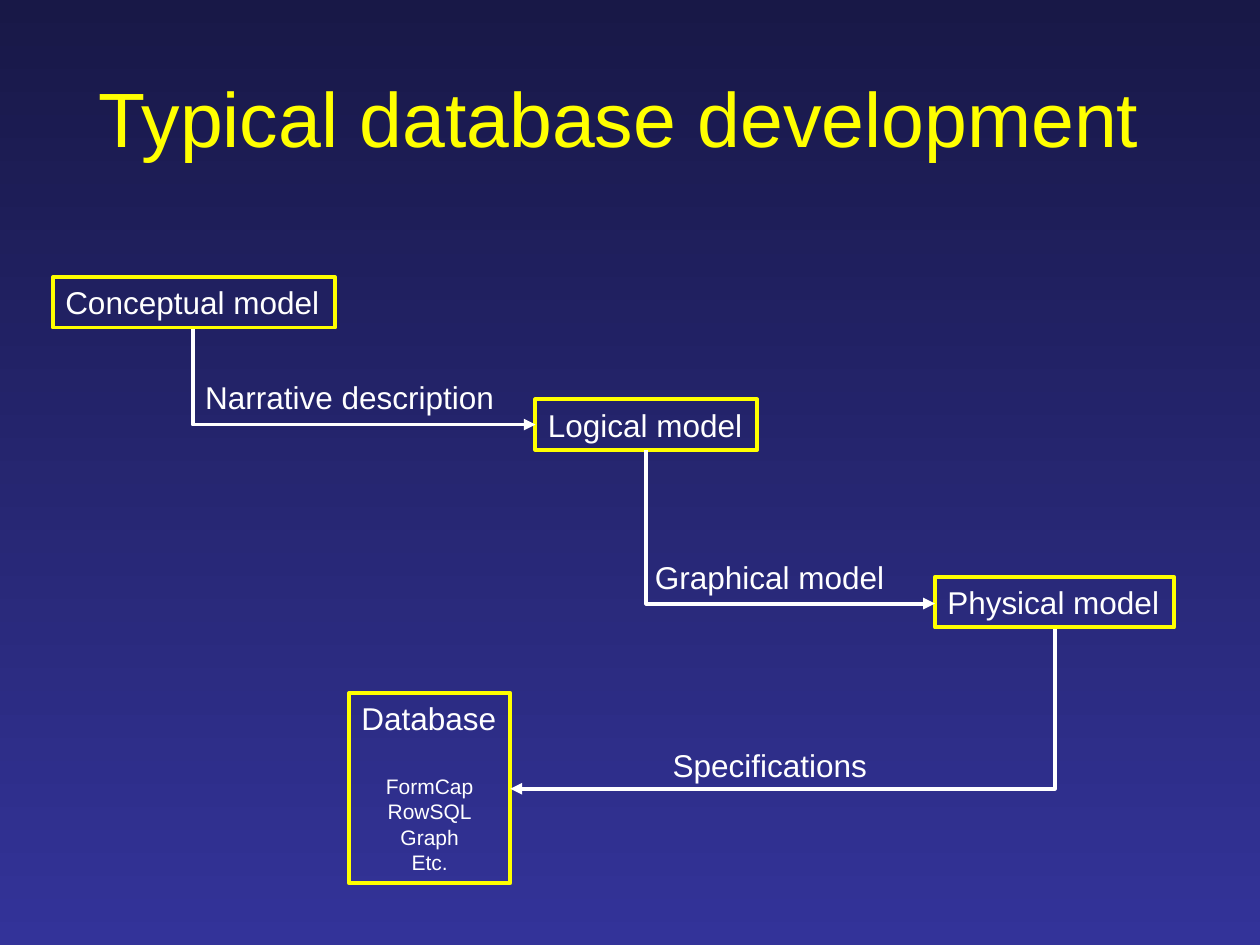
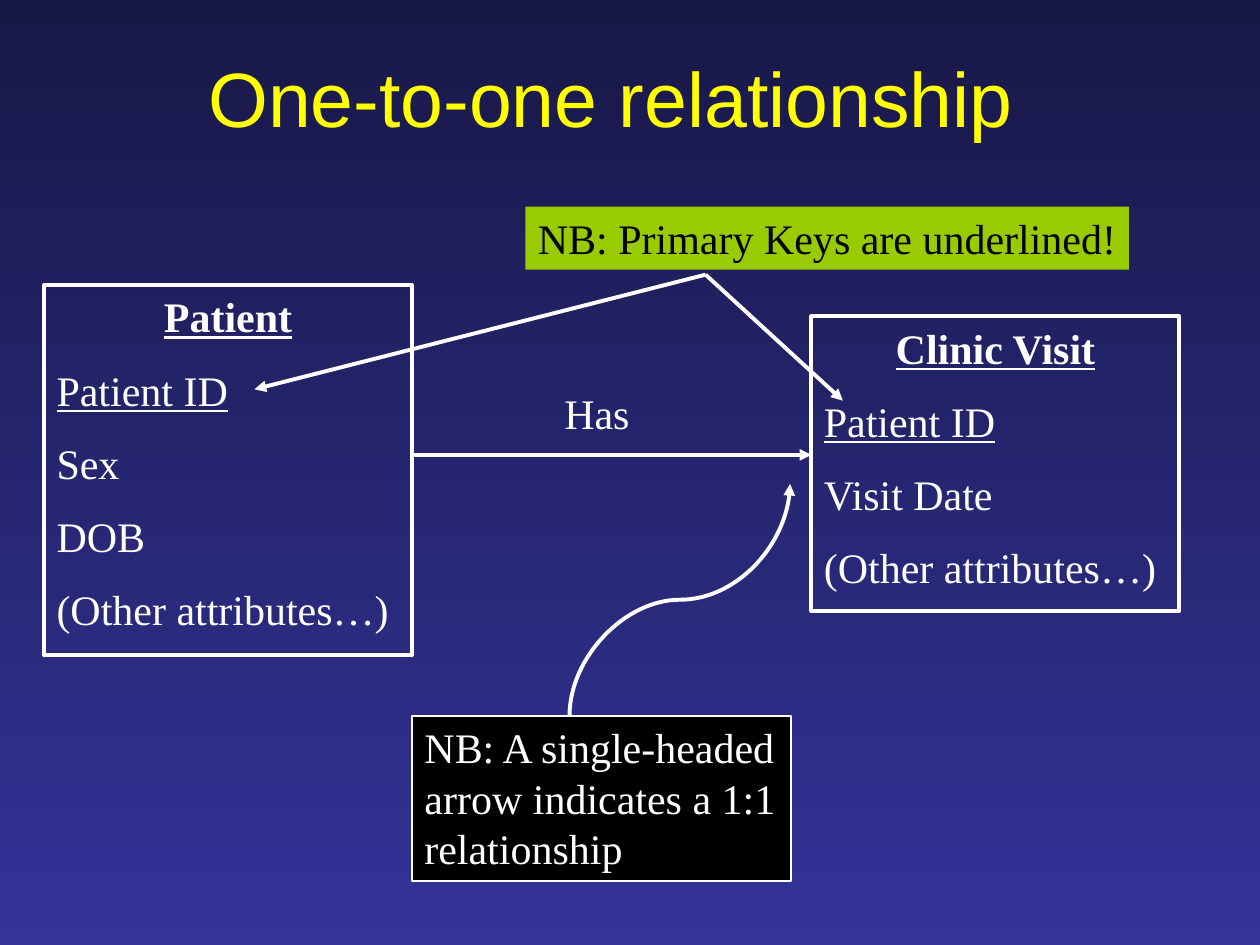
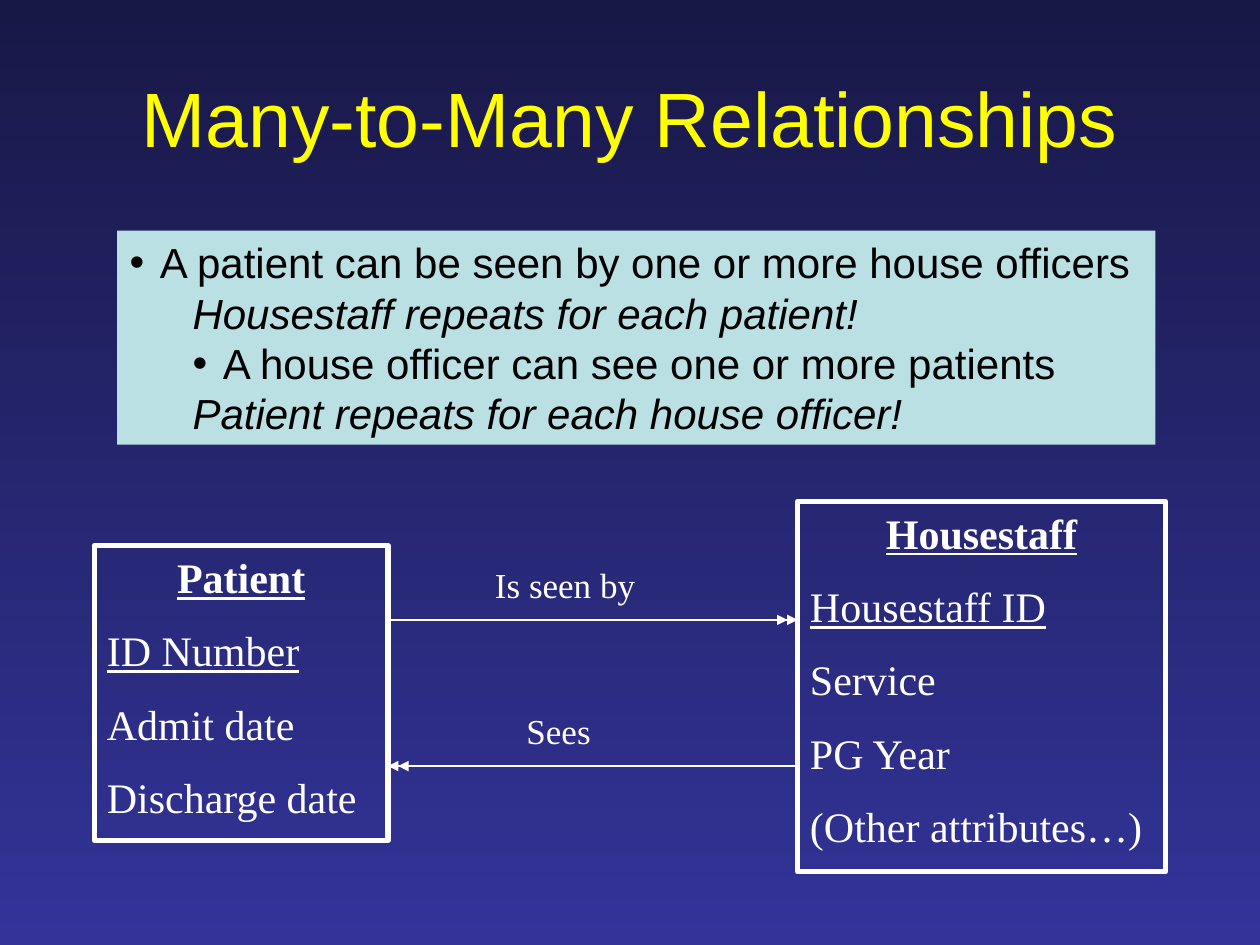
from lxml.etree import SubElement
from pptx import Presentation
from pptx.dml.color import RGBColor
from pptx.enum.shapes import MSO_CONNECTOR as LINK, MSO_SHAPE as SHAPE
from pptx.enum.text import MSO_ANCHOR as ANCHOR, MSO_AUTO_SIZE as FIT, PP_ALIGN as ALIGN
from pptx.oxml.ns import qn
from pptx.util import Inches, Pt

COLORS = {
    "top": "181847", "bottom": "333399", "title": "FFFF00", "white": "FFFFFF",
    "black": "000000", "note": "99CC00", "panel": "BBE0E3",
}
SANS, SERIF = "Arial", "Times New Roman"


def rgb(name):
    return RGBColor.from_string(COLORS[name])


class SlideBuilder:
    def __init__(self):
        self.deck = Presentation()
        self.deck.slide_width, self.deck.slide_height = Inches(10), Inches(7.5)
        self.page = None
        fill = self.deck.slide_master.background.fill
        fill.gradient()
        fill.gradient_angle = 270
        for stop, name, position in zip(fill.gradient_stops, ("top", "bottom"), (0, 1)):
            stop.color.rgb = rgb(name)
            stop.position = position

    def add_page(self, title, left=0.5, top=0.3):
        self.page = self.deck.slides.add_slide(self.deck.slide_layouts[5])
        box = self.page.shapes.title
        box.left, box.top, box.width, box.height = map(Inches, (left, top, 9, 1.25))
        self.set_text(box, [title], 44, SANS, "title")
        box.text_frame.vertical_anchor = ANCHOR.MIDDLE
        box.text_frame.paragraphs[0].alignment = ALIGN.CENTER

    def set_text(self, box, lines, size, font, color, wrap=True):
        frame = box.text_frame
        frame.text = "\n".join(lines)
        frame.word_wrap = wrap
        frame.auto_size = FIT.NONE
        frame.vertical_anchor = ANCHOR.TOP
        for para in frame.paragraphs:
            para.alignment = ALIGN.LEFT
            for span in para.runs:
                span.font.size, span.font.name = Pt(size), font
                span.font.color.rgb = rgb(color)

    def label(self, area, text, size, font):
        box = self.page.shapes.add_textbox(*map(Inches, area))
        self.set_text(box, [text], size, font, "white", wrap=False)

    def box(self, area, lines, size, font, color="white", fill=None, line=None,
            weight=2.25, wrap=False):
        box = self.page.shapes.add_shape(SHAPE.RECTANGLE, *map(Inches, area))
        box.shadow.inherit = False
        if fill:
            box.fill.solid()
            box.fill.fore_color.rgb = rgb(fill)
        else:
            box.fill.background()
        if line:
            box.line.color.rgb = rgb(line)
            box.line.width = Pt(weight)
        else:
            box.line.fill.background()
        self.set_text(box, lines, size, font, color, wrap)
        return box

    def entity(self, area, name, key, attributes, weight=2.25):
        box = self.box(area, [name, key, *attributes], 24, SERIF,
                       line="white", weight=weight, wrap=True)
        heading, key_para, *others = box.text_frame.paragraphs
        heading.alignment = ALIGN.CENTER
        heading.runs[0].font.bold = True
        for para in (heading, key_para):
            para.runs[0].font.underline = True
        for para in (key_para, *others):
            para.space_before = Pt(13)

    def bullet_panel(self, area, items):
        box = self.box(area, [text for text, _, _ in items], 24, SANS, "black",
                       fill="panel", wrap=True)
        for para, (_, indent, bulleted) in zip(box.text_frame.paragraphs, items):
            para.runs[0].font.italic = not bulleted
            hang = 0.24 if bulleted else 0
            properties = para._p.get_or_add_pPr()
            properties.set("marL", str(Inches(indent + hang)))
            properties.set("indent", str(-Inches(hang)))
            if bulleted:
                SubElement(properties, qn("a:buFont"), typeface=SANS)
                SubElement(properties, qn("a:buChar"), char="•")

    def arrow(self, start, end, weight=2.25, kind=LINK.STRAIGHT):
        link = self.page.shapes.add_connector(kind, *map(Inches, (*start, *end)))
        link.line.color.rgb = rgb("white")
        link.line.width = Pt(weight)
        shape = link.element.spPr
        SubElement(shape.find(qn("a:ln")), qn("a:tailEnd"), type="triangle")
        SubElement(shape, qn("a:effectLst"))
        return link

    def turn(self, link, start, end, rotation, flip=False):
        width, height = abs(end[1] - start[1]), abs(end[0] - start[0])
        link.left = Inches((start[0] + end[0] - width) / 2)
        link.top = Inches((start[1] + end[1] - height) / 2)
        link.width, link.height = Inches(width), Inches(height)
        frame = link.element.spPr.find(qn("a:xfrm"))
        for name in ("flipH", "flipV"):
            frame.attrib.pop(name, None)
        frame.set("rot", str(rotation * 60000))
        if flip:
            frame.set("flipH", "1")

    def bent_arrow(self, source, target, start, end):
        rightward = end[0] > start[0]
        link = self.arrow(start, end, kind=LINK.ELBOW)
        link.begin_connect(source, 2)
        link.end_connect(target, 1 if rightward else 3)
        link.element.spPr.find(qn("a:prstGeom")).set("prst", "bentConnector2")
        self.turn(link, start, end, 270 if rightward else 90, rightward)

    def curved_arrow(self, start, end):
        self.turn(self.arrow(start, end, kind=LINK.CURVE), start, end, 270)


def development_page(builder):
    builder.add_page("Typical database development ")
    conceptual, logical, physical = [
        builder.box(area, [text], 18, SANS, line="title")
        for text, area in (
            ("Conceptual model", (0.42, 2.2, 2.24, 0.4)),
            ("Logical model", (4.25, 3.17, 1.76, 0.4)),
            ("Physical model", (7.42, 4.58, 1.9, 0.4)),
        )
    ]
    database = builder.box((2.77, 5.5, 1.28, 1.51),
                           ["Database", "FormCap", "RowSQL", "Graph", "Etc."],
                           18, SANS, line="title")
    systems = database.text_frame.paragraphs[1:]
    systems[0].space_before = Pt(21)
    for para in systems:
        para.alignment = ALIGN.CENTER
        para.runs[0].font.size = Pt(12)
    builder.bent_arrow(conceptual, logical, (1.53, 2.61), (4.25, 3.37))
    builder.bent_arrow(logical, physical, (5.13, 3.57), (7.42, 4.79))
    builder.bent_arrow(physical, database, (8.37, 4.99), (4.05, 6.26))
    for text, area in (
        ("Narrative description", (1.53, 2.95, 2.52, 0.4)),
        ("Graphical model", (5.1, 4.38, 2.04, 0.4)),
        ("Specifications", (5.24, 5.87, 1.76, 0.4)),
    ):
        builder.label(area, text, 18, SANS)


def one_to_one_page(builder):
    builder.add_page("One-to-one relationship", 0.35, 0.14)
    builder.entity((0.35, 2.26, 2.92, 2.94), "Patient", "Patient ID",
                   ["Sex", "DOB", "(Other attributes…)"])
    builder.entity((6.44, 2.51, 2.92, 2.34), "Clinic Visit", "Patient ID",
                   ["Visit Date", "(Other attributes…)"])
    builder.arrow((3.27, 3.61), (6.44, 3.61))
    builder.label((4.38, 3.03, 0.72, 0.5), "Has", 24, SERIF)
    builder.box((3.27, 5.68, 3.01, 1.31),
                ["NB: A single-headed", "arrow indicates a 1:1", "relationship"],
                24, SERIF, fill="black", line="white", weight=1)
    builder.curved_arrow((4.52, 5.68), (6.27, 3.84))
    builder.box((4.17, 1.64, 4.79, 0.5), ["NB: Primary Keys are underlined!"],
                24, SERIF, "black", fill="note")
    for key_end in ((2.02, 3.09), (6.69, 3.18)):
        builder.arrow((5.6, 2.18), key_end)


def many_to_many_page(builder):
    builder.add_page("Many-to-Many Relationships")
    builder.entity((0.75, 4.33, 2.33, 2.34), "Patient", "ID Number",
                   ["Admit date", "Discharge date"], 3)
    builder.entity((6.33, 3.98, 2.92, 2.94), "Housestaff", "Housestaff ID",
                   ["Service", "PG Year", "(Other attributes…)"], 3)
    patient_side, staff_side, head_gap = 3.08, 6.33, 0.08
    for offset in (0, head_gap):
        builder.arrow((patient_side, 4.92), (staff_side - offset, 4.92), 1)
        builder.arrow((staff_side, 6.08), (patient_side + offset, 6.08), 1)
    builder.label((3.83, 4.42, 1.42, 0.43), "Is seen by", 20, SERIF)
    builder.label((4.08, 5.58, 0.75, 0.43), "Sees", 20, SERIF)
    builder.bullet_panel((0.93, 1.83, 8.24, 1.7), [
        ("A patient can be seen by one or more house officers", 0, True),
        ("Housestaff repeats for each patient!", 0.5, False),
        ("A house officer can see one or more patients", 0.5, True),
        ("Patient repeats for each house officer!", 0.5, False),
    ])


def main():
    builder = SlideBuilder()
    development_page(builder)
    one_to_one_page(builder)
    many_to_many_page(builder)
    builder.deck.save("out.pptx")


if __name__ == "__main__":
    main()
